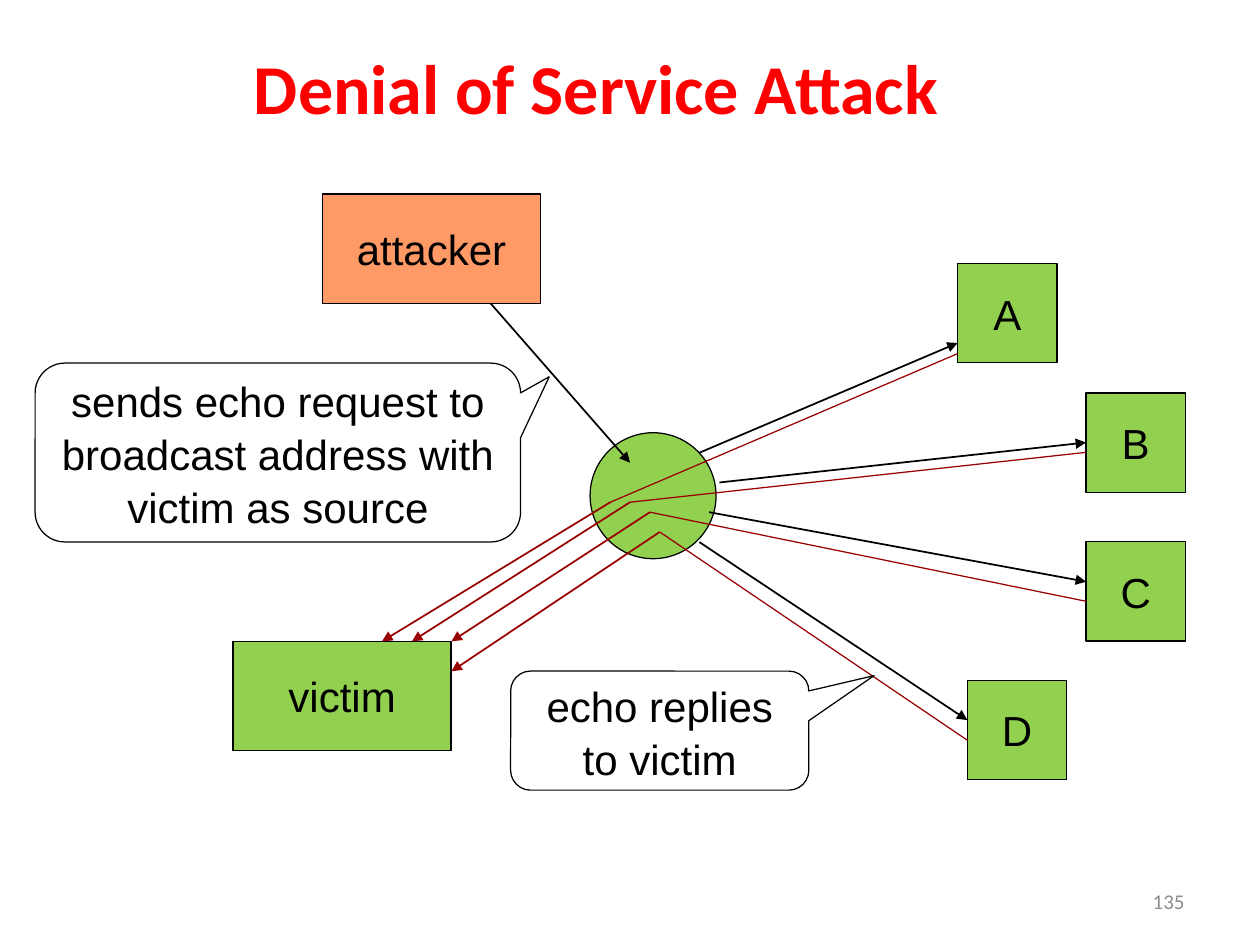
import pptx
import pptx.util
import pptx.dml.color
import pptx.enum.shapes
import pptx.enum.text
import pptx.oxml
import pptx.oxml.ns

Pt = pptx.util.Pt
SHAPES = pptx.enum.shapes.MSO_SHAPE
ALIGN = pptx.enum.text.PP_ALIGN
MIDDLE = pptx.enum.text.MSO_ANCHOR.MIDDLE

BLACK, GREEN, ORANGE, DARK_RED = "000000", "92D050", "FF9966", "990000"
LABEL_FONT = {"name": "Arial", "size": Pt(24), "bold": False}
TITLE_FONT = {"name": "Calibri", "size": Pt(40), "bold": True}
NUMBER_FONT = {"name": "Calibri", "size": Pt(12)}

TITLE = ("Denial of Service Attack", (143.3, 24.5, 394.6, 49.7))
SLIDE_NUMBER = ("135", (516.2, 500.4, 167.8, 28.8))

MACHINE_SIZE = (124.6, 62.6)
HOST_SIZE = (56.8, 56.8)
BOXES = [  # text, left and top, size, fill
    ("attacker", (184.3, 110.9), MACHINE_SIZE, ORANGE),
    ("victim", (133.2, 366.5), MACHINE_SIZE, GREEN),
    ("A", (547.2, 150.6), HOST_SIZE, GREEN),
    ("B", (620.6, 224.6), HOST_SIZE, GREEN),
    ("C", (620.6, 309.6), HOST_SIZE, GREEN),
    ("D", (552.8, 388.8), HOST_SIZE, GREEN),
]
HUB = (337.2, 247.3, 72, 72)

CALLOUTS = [  # paragraphs, body, tip of the tail
    (["sends echo request to broadcast address with victim as source"],
     (20.1, 207.5, 277.4, 102.2), (313.9, 215.3)),
    (["echo replies", "to victim"], (291.8, 383.5, 170.4, 68), (499.5, 386.1)),
]

REQUESTS = [  # from, to
    ((280.4, 173.4), (360, 264.4)),
    ((399.7, 258.7), (547.2, 196)),
    ((411.1, 275.7), (620.6, 252.9)),
    ((405.2, 292.7), (620.6, 332.4)),
    ((399.7, 309.8), (552.8, 411.5)),
]
REPLIES = [  # from host, turn in the hub, to victim
    ((547.2, 202.1), (348.8, 287), (218.3, 366.5)),
    ((620.6, 258.5), (360, 287), (235.4, 366.5)),
    ((620.6, 343.6), (371.4, 292.7), (258, 366.5)),
    ((552.8, 423), (377, 304), (258, 383.6)),
]


def colour(hex_text):
    return pptx.dml.color.RGBColor.from_string(hex_text)


def points(values):
    return [Pt(value) for value in values]


def write(shape, lines, font_format, text_colour=BLACK, align=ALIGN.CENTER,
          side_margin=0, wrap=True, line_spacing=1.0):
    frame = shape.text_frame
    frame.text = "\n".join(lines)
    frame_format = {"word_wrap": wrap, "vertical_anchor": MIDDLE,
                    "margin_left": Pt(side_margin), "margin_right": Pt(side_margin),
                    "margin_top": 0, "margin_bottom": 0}
    for name, value in frame_format.items():
        setattr(frame, name, value)
    for paragraph in frame.paragraphs:
        paragraph.alignment = align
        paragraph.line_spacing = line_spacing
        for name, value in font_format.items():
            setattr(paragraph.font, name, value)
        paragraph.font.color.rgb = colour(text_colour)


def add_outlined_shape(slide, kind, box, fill=None):
    shape = slide.shapes.add_shape(kind, *points(box))
    shape.shadow.inherit = False
    if fill:
        shape.fill.solid()
        shape.fill.fore_color.rgb = colour(fill)
    else:
        shape.fill.background()
    shape.line.color.rgb = colour(BLACK)
    shape.line.width = Pt(0.72)
    return shape


def add_callout(slide, lines, box, tip):
    shape = add_outlined_shape(slide, SHAPES.ROUNDED_RECTANGULAR_CALLOUT, box)
    left, top, width, height = box
    shape.adjustments[0] = (tip[0] - left) / width - 0.5
    shape.adjustments[1] = (tip[1] - top) / height - 0.5
    write(shape, lines, LABEL_FONT, line_spacing=1.05)


def add_line(slide, start, end, line_colour, width, arrow=False):
    connector = slide.shapes.add_connector(
        pptx.enum.shapes.MSO_CONNECTOR.STRAIGHT, *points(start + end))
    connector.line.color.rgb = colour(line_colour)
    connector.line.width = Pt(width)
    if arrow:
        head = pptx.oxml.parse_xml(
            f'<a:tailEnd {pptx.oxml.ns.nsdecls("a")} type="triangle"/>')
        connector.line._get_or_add_ln().append(head)
    connector._element.spPr.append(
        pptx.oxml.parse_xml(f'<a:effectLst {pptx.oxml.ns.nsdecls("a")}/>'))


def main():
    presentation = pptx.Presentation()
    presentation.slide_width, presentation.slide_height = Pt(720), Pt(540)
    slide = presentation.slides.add_slide(presentation.slide_layouts[5])

    text, box = TITLE
    title = slide.shapes.title
    title.left, title.top, title.width, title.height = points(box)
    write(title, [text], TITLE_FONT, "FF0000", wrap=False)

    for text, position, size, fill in BOXES:
        shape = add_outlined_shape(slide, SHAPES.RECTANGLE, position + size, fill)
        write(shape, [text], LABEL_FONT)
    add_outlined_shape(slide, SHAPES.OVAL, HUB, GREEN)

    for start, end in REQUESTS:
        add_line(slide, start, end, BLACK, 1, arrow=True)
    for host, turn, victim in REPLIES:
        add_line(slide, host, turn, DARK_RED, 0.72)
        add_line(slide, turn, victim, DARK_RED, 1, arrow=True)
    for lines, box, tip in CALLOUTS:
        add_callout(slide, lines, box, tip)

    text, box = SLIDE_NUMBER
    number = slide.shapes.add_textbox(*points(box))
    write(number, [text], NUMBER_FONT, "8C8C8C", ALIGN.RIGHT, side_margin=7.2)

    presentation.save("out.pptx")


if __name__ == "__main__":
    main()
